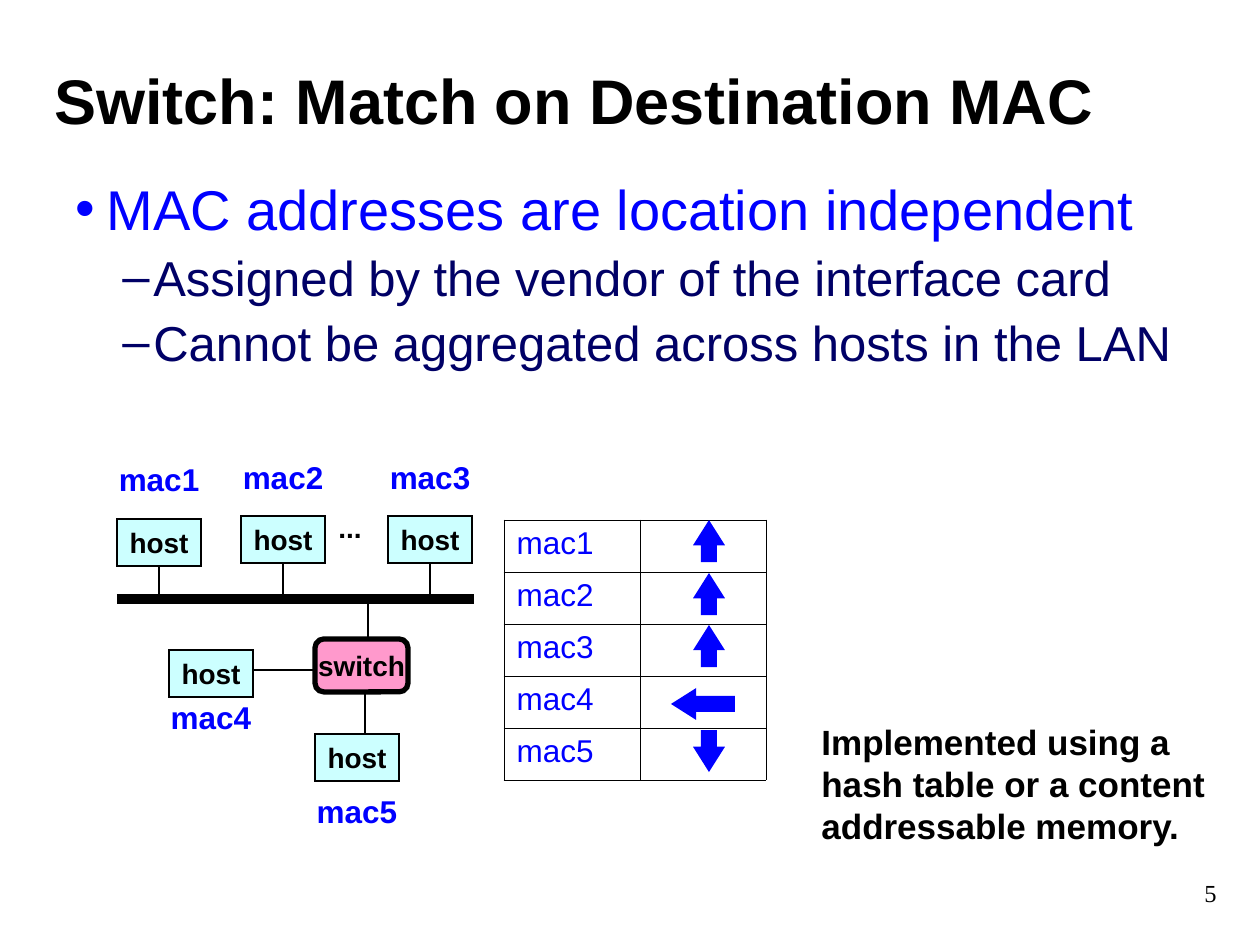
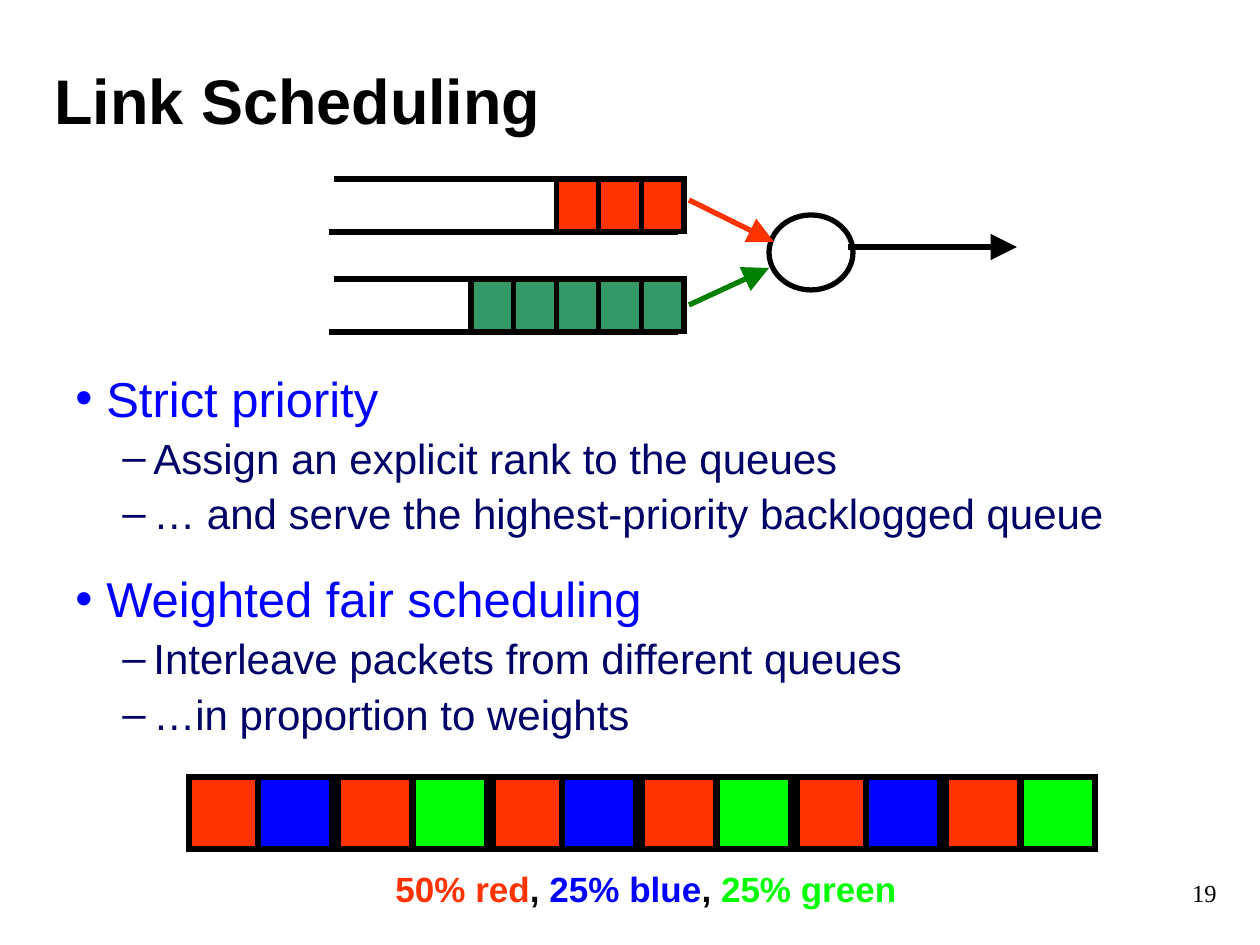
"""Build two lecture slides: MAC matching in a switch, and link scheduling."""
from dataclasses import dataclass

from lxml import etree
from pptx import Presentation
from pptx.dml.color import RGBColor
from pptx.enum import shapes, text
from pptx.oxml.ns import qn
from pptx.util import Pt

PX = 914400 / 126
SHAPE, ALIGN, ANCHOR = shapes.MSO_SHAPE, text.PP_ALIGN, text.MSO_ANCHOR


@dataclass(frozen=True)
class Theme:
    """Colours, fonts and type sizes shared by the slides."""
    black: str = "000000"
    blue: str = "0000FF"
    navy: str = "000066"
    red: str = "FF3300"
    lime: str = "00FF00"
    green: str = "008000"
    teal: str = "339966"
    host: str = "CCFFFF"
    switch: str = "FF99CC"
    font: str = "Arial"
    number_font: str = "Times New Roman"
    title: int = 36
    note: int = 20
    label: int = 18
    node: int = 16
    number: int = 14
    thin: int = 1
    thick: int = 3
    bus: int = 6
    grid: float = 0.45


T = Theme()

MATCH = {
    "title": "Switch: Match on Destination MAC",
    "number": "5",
    "body_top": 168,
    "sizes": (32, 28),
    "bullets": [
        (0, "MAC addresses are location independent"),
        (1, "Assigned by the vendor of the interface card"),
        (1, "Cannot be aggregated across hosts in the LAN"),
    ],
    "note": "Implemented using a hash table or a content addressable memory.",
}
SCHEDULING = {
    "title": "Link Scheduling",
    "number": "19",
    "body_top": 362,
    "sizes": (28, 24),
    "bullets": [
        (0, "Strict priority"),
        (1, "Assign an explicit rank to the queues"),
        (1, "… and serve the highest-priority backlogged queue"),
        (0, "Weighted fair scheduling"),
        (1, "Interleave packets from different queues"),
        (1, "…in proportion to weights"),
    ],
}
BULLET_STYLES = [("•", T.blue, 31, 5 / 8), ("–", T.navy, 78, 1 / 8)]
HANGING = 31

HOST_W, HOST_H = 84, 47
BUS_Y = 599
HOSTS = [
    ("mac1", 159, 519, -65, True),
    ("mac2", 283, 516, -64, True),
    ("mac3", 430, 516, -64, True),
    ("mac4", 211, 650, 42, False),
    ("mac5", 357, 734, 52, False),
]
SWITCH_BOX = (315, 639, 93, 53)
SWITCH_LINKS = [(368, BUS_Y, 368, 641), (365, 692, 365, 733), (252, 670, 315, 670)]

TABLE_X, TABLE_Y, TABLE_COLS, ROW_H = 504, 520, (136, 126), 52
UP, LEFT, DOWN = SHAPE.UP_ARROW, SHAPE.LEFT_ARROW, SHAPE.DOWN_ARROW
PORTS = [(UP, 709, 541), (UP, 709, 594), (UP, 709, 646),
         (LEFT, 703, 704), (DOWN, 709, 751)]
ARROW_SIZES = {UP: (32, 42), LEFT: (64, 32), DOWN: (32, 42)}

QUEUE_RIGHT, QUEUE_H, PACKET_W = 684, 53, 42.6
QUEUES = [(279, 5, T.teal), (179, 3, T.red)]
SERVER_BOX = (769, 215, 84, 75)
FLOWS = [
    ((689, 200, 774, 242), T.red),
    ((689, 305, 769, 268), T.green),
    ((848, 247, 1017, 247), T.black),
]
CYCLE_X, CYCLE_Y, CYCLE_STEP, CYCLES = 189, 777, 304, 3
SLOT_W, SLOT_H = 74, 72
SLOTS = [(0, T.red), (69, T.blue), (224, T.lime), (149, T.red)]
SHARES = [("50% red", T.red), (", ", T.black), ("25% blue", T.blue),
          (", ", T.black), ("25% green", T.lime)]


def px(*lengths):
    """Turn px lengths into EMU."""
    return [round(n * PX) for n in lengths]


def rgb(value):
    """Read a hex colour."""
    return RGBColor.from_string(value)


def style(p, size, color, bold=False, font=T.font):
    """Format every run of a paragraph."""
    for r in p.runs:
        r.font.size, r.font.bold, r.font.name = Pt(size), bold, font
        r.font.color.rgb = rgb(color)


def sub(parent, tag, **attrs):
    """Append an XML child."""
    child = etree.SubElement(parent, qn(tag))
    for key, value in attrs.items():
        child.set(key, str(value))
    return child


def add_text(s, box, words, size, color=T.black, bold=True, align=ALIGN.LEFT,
             anchor=ANCHOR.TOP, wrap=True, font=T.font):
    """Add a text box with one formatted paragraph."""
    tf = s.shapes.add_textbox(*px(*box)).text_frame
    tf.word_wrap, tf.vertical_anchor = wrap, anchor
    p = tf.paragraphs[0]
    p.text, p.alignment = words, align
    style(p, size, color, bold, font)
    return p


def add_box(s, kind, box, fill=None, line=None, width=T.thick, words=""):
    """Add a preset shape with an optional centred label."""
    sp = s.shapes.add_shape(kind, *px(*box))
    sp.shadow.inherit = False
    if fill:
        sp.fill.solid()
        sp.fill.fore_color.rgb = rgb(fill)
    else:
        sp.fill.background()
    if line:
        sp.line.color.rgb, sp.line.width = rgb(line), Pt(width)
        sub(sp._element.spPr.find(qn("a:ln")), "a:miter", lim=800000)
    else:
        sp.line.fill.background()
    if words:
        tf = sp.text_frame
        tf.word_wrap, tf.vertical_anchor = False, ANCHOR.MIDDLE
        p = tf.paragraphs[0]
        p.text, p.alignment = words, ALIGN.CENTER
        style(p, T.node, T.black, True)
    return sp


def add_line(s, ends, width=T.thick, color=T.black, arrow=False):
    """Add a straight line, with an arrowhead at its end if asked."""
    cn = s.shapes.add_connector(shapes.MSO_CONNECTOR.STRAIGHT, *px(*ends))
    cn.line.color.rgb, cn.line.width = rgb(color), Pt(width)
    sp_pr = cn._element.spPr
    if arrow:
        sub(sp_pr.find(qn("a:ln")), "a:tailEnd", type="triangle", w="lg", len="lg")
    sub(sp_pr, "a:effectLst")
    return cn


def add_bullets(s, top, bullets, sizes):
    """Add the two-level bullet list."""
    tf = s.shapes.add_textbox(*px(63, top, 1166, 250)).text_frame
    tf.word_wrap = True
    for i, (level, words) in enumerate(bullets):
        mark, color, indent, gap = BULLET_STYLES[level]
        p = tf.add_paragraph() if i else tf.paragraphs[0]
        p.text, p.level = words, level
        p.space_before = Pt(gap * sizes[level] if i else 0)
        style(p, sizes[level], color)
        p_pr = p._p.get_or_add_pPr()
        p_pr.set("marL", str(px(indent)[0]))
        p_pr.set("indent", str(px(-HANGING)[0]))
        sub(sub(p_pr, "a:buClr"), "a:srgbClr", val=color)
        sub(p_pr, "a:buFont", typeface=T.font)
        sub(p_pr, "a:buChar", char=mark)


def add_slide(prs, content):
    """Add a slide with title, bullets and number."""
    s = prs.slides.add_slide(prs.slide_layouts[6])
    add_text(s, (42, 52, 1111, 95), content["title"], T.title, anchor=ANCHOR.MIDDLE)
    add_bullets(s, content["body_top"], content["bullets"], content["sizes"])
    add_text(s, (1103, 872, 126, 53), content["number"], T.number, bold=False,
             align=ALIGN.RIGHT, font=T.number_font)
    return s


def draw_network(s):
    """Draw the hosts, the bus and the switch."""
    add_line(s, (117, BUS_Y, 474, BUS_Y), T.bus)
    for ends in SWITCH_LINKS:
        add_line(s, ends, T.thin)
    for name, center, top, label_shift, on_bus in HOSTS:
        box = (center - HOST_W // 2, top, HOST_W, HOST_H)
        sp = add_box(s, SHAPE.RECTANGLE, box, T.host, T.black, T.thin, "host")
        add_text(s, (center - 53, top + label_shift, 106, 50), name, T.label,
                 T.blue, align=ALIGN.CENTER, wrap=False)
        if on_bus:
            cn = add_line(s, (center, top + HOST_H, center, BUS_Y), T.thin)
            cn.begin_connect(sp, 2)
    add_text(s, (310, 504, 80, 47), "...", T.node, align=ALIGN.CENTER,
             anchor=ANCHOR.MIDDLE, wrap=False)
    add_box(s, SHAPE.ROUNDED_RECTANGLE, SWITCH_BOX, T.switch, T.black, words="switch")


def draw_forwarding_table(s):
    """Draw the table of addresses and its output port arrows."""
    rows, cols = len(HOSTS), len(TABLE_COLS)
    frame = s.shapes.add_table(rows, cols, *px(TABLE_X, TABLE_Y, sum(TABLE_COLS),
                                               rows * ROW_H))
    tbl = frame.table
    tbl.first_row = tbl.horz_banding = False
    for col, width in zip(tbl.columns, px(*TABLE_COLS)):
        col.width = width
    for row, host in zip(tbl.rows, HOSTS):
        row.height = px(ROW_H)[0]
        row.cells[0].text = host[0]
        style(row.cells[0].text_frame.paragraphs[0], T.label, T.blue)
        for cell in row.cells:
            tc_pr = cell._tc.get_or_add_tcPr()
            for side in ("a:lnL", "a:lnR", "a:lnT", "a:lnB"):
                edge = sub(tc_pr, side, w=Pt(T.grid))
                sub(sub(edge, "a:solidFill"), "a:srgbClr", val=T.black)
            cell.fill.background()
    for kind, x, y in PORTS:
        w, h = ARROW_SIZES[kind]
        sp = add_box(s, kind, (x - w // 2, y - h // 2, w, h), T.blue)
        sp.adjustments[1] = 0.79


def draw_queues(s):
    """Draw the packet queues feeding the link server."""
    for top, count, color in QUEUES:
        bottom = top + QUEUE_H
        add_line(s, (334, top, QUEUE_RIGHT, top))
        add_line(s, (329, bottom, 678, bottom))
        for i in range(count):
            left = QUEUE_RIGHT - (i + 1) * PACKET_W
            add_box(s, SHAPE.RECTANGLE, (left, top, PACKET_W, QUEUE_H), color, T.black)
    add_box(s, SHAPE.OVAL, SERVER_BOX, line=T.black)
    for ends, color in FLOWS:
        add_line(s, ends, color=color, arrow=True)


def draw_schedule(s):
    """Draw the interleaved slots and their shares."""
    for cycle in range(CYCLES):
        for offset, color in SLOTS:
            left = CYCLE_X + cycle * CYCLE_STEP + offset
            add_box(s, SHAPE.RECTANGLE, (left, CYCLE_Y, SLOT_W, SLOT_H), color, T.black)
    p = add_text(s, (281, 861, 730, 55), "", T.note, align=ALIGN.CENTER)
    for words, _ in SHARES:
        p.add_run().text = words
    style(p, T.note, T.black, True)
    for r, (_, color) in zip(p.runs, SHARES):
        r.font.color.rgb = rgb(color)


def main():
    """Build and save the presentation."""
    prs = Presentation()
    prs.slide_width, prs.slide_height = px(1260, 945)
    s = add_slide(prs, MATCH)
    draw_network(s)
    draw_forwarding_table(s)
    add_text(s, (809, 714, 420, 139), MATCH["note"], T.note)
    s = add_slide(prs, SCHEDULING)
    draw_queues(s)
    draw_schedule(s)
    prs.save("out.pptx")


if __name__ == "__main__":
    main()
